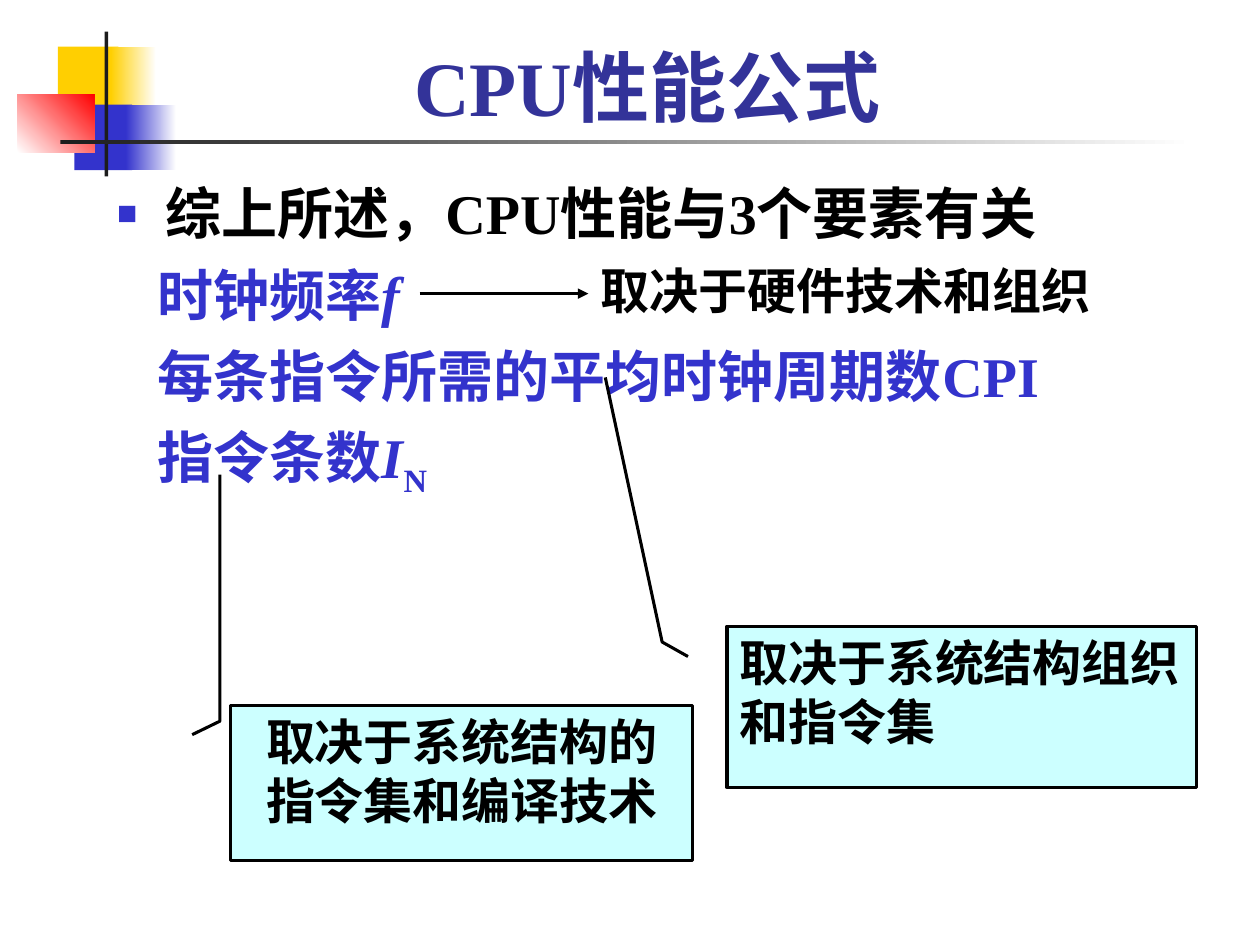
from lxml.etree import SubElement
from pptx import Presentation
from pptx.dml.color import RGBColor
from pptx.enum.shapes import MSO_CONNECTOR, MSO_SHAPE
from pptx.enum.text import MSO_ANCHOR, MSO_AUTO_SIZE, PP_ALIGN
from pptx.oxml.ns import qn
from pptx.util import Inches, Pt

BLUE, BLACK, SERIF, SANS = "3333CC", "000000", "Times New Roman", "Roboto"


def rgb(color):
    return RGBColor.from_string(color)


def add_run(p, text, size=32, font=SERIF, color=BLUE, italic=False, baseline=None):
    r = p.add_run()
    r.text = text
    r.font.size, r.font.name = Pt(size), font
    r.font.bold, r.font.italic = True, italic
    r.font.color.rgb = rgb(color)
    if baseline:
        r.font._element.set("baseline", str(baseline))


prs = Presentation()
prs.slide_width, prs.slide_height = Inches(10), Inches(7.5)
s = prs.slides.add_slide(prs.slide_layouts[1])

# Corner decoration: box, colours (two make a gradient), gradient angle
decoration = [
    ((0.46, 0.37, 0.48, 0.52), ["FFCF01"], 0),
    ((0.88, 0.37, 0.36, 0.52), ["FFCF01", "FFFFFF"], 0),
    ((0.59, 0.83, 0.46, 0.52), [BLUE], 0),
    ((1, 0.83, 0.4, 0.52), [BLUE, "FFFFFF"], 0),
    ((0.14, 0.75, 0.61, 0.46), ["FFFFFF", "FF0000"], 45),
    ((0.83, 0.25, 0.03, 1.15), ["1C1C1C"], 0),
    ((0.48, 1.11, 9, 0.03), ["1C1C1C", "FFFFFF"], 0),
]
for box, colors, angle in decoration:
    sp = s.shapes.add_shape(MSO_SHAPE.RECTANGLE, *map(Inches, box))
    sp.shadow.inherit = False
    sp.line.fill.background()
    if len(colors) == 1:
        sp.fill.solid()
        sp.fill.fore_color.rgb = rgb(colors[0])
    else:
        sp.fill.gradient()
        sp.fill.gradient_angle = angle
        for stop, color in zip(sp.fill.gradient_stops, colors):
            stop.color.rgb = rgb(color)

# Title
title = s.shapes.title
title.left, title.top, title.width, title.height = map(Inches, (0.5, 0.17, 9.28, 0.93))
tf = title.text_frame
tf.auto_size = MSO_AUTO_SIZE.NONE
tf.vertical_anchor = MSO_ANCHOR.BOTTOM
p = tf.paragraphs[0]
p.alignment = PP_ALIGN.CENTER
add_run(p, "CPU性能公式", size=44, color="333399")

# Body: one bulleted line, then the three factors
body = s.placeholders[1]
body.left, body.top, body.width, body.height = map(Inches, (0.83, 1.37, 8.96, 4.5))
tf = body.text_frame
tf.auto_size = MSO_AUTO_SIZE.NONE
lines = [
    [("综上所述，CPU性能与3个要素有关", {"color": BLACK})],
    [("时钟频率", {}), ("f", {"italic": True})],
    [("每条指令所需的平均时钟周期数CPI", {})],
    [("指令条数", {}), ("I", {"italic": True}), ("N", {"baseline": -25000})],
]
for i, runs in enumerate(lines):
    p = tf.add_paragraph() if i else tf.paragraphs[0]
    p.space_before = Pt(8 if i else 0)
    pPr = p._p.get_or_add_pPr()
    pPr.set("marL", str(Inches(0.32 if i else 0.38)))
    pPr.set("indent", str(Inches(0 if i else -0.38)))
    if i:
        SubElement(pPr, qn("a:buNone"))
    else:
        SubElement(SubElement(pPr, qn("a:buClr")), qn("a:srgbClr"), val=BLUE)
        SubElement(pPr, qn("a:buSzPct"), val="60000")
        SubElement(pPr, qn("a:buChar"), char="■")
    for text, style in runs:
        add_run(p, text, **style)

# Callouts: box, pointer adjustments, alignment, text
callouts = [
    ((5.77, 4.97, 3.73, 1.28), (0.188, -0.083, 0.098, -0.138, -1.543, -0.259),
     PP_ALIGN.LEFT, "取决于系统结构组织和指令集"),
    ((1.83, 5.6, 3.67, 1.23), (0.188, -0.083, 0.101, -0.023, -1.49, -0.023),
     PP_ALIGN.CENTER, "取决于系统结构的指令集和编译技术"),
]
for box, pointer, align, text in callouts:
    sp = s.shapes.add_shape(MSO_SHAPE.LINE_CALLOUT_2, *map(Inches, box))
    sp.shadow.inherit = False
    for i, value in enumerate(pointer):
        sp.adjustments[i] = value
    sp.fill.solid()
    sp.fill.fore_color.rgb = rgb("CCFFFF")
    sp.line.color.rgb = rgb(BLACK)
    sp.line.width = Pt(1.75)
    tf = sp.text_frame
    tf.word_wrap = True
    tf.vertical_anchor = MSO_ANCHOR.TOP
    p = tf.paragraphs[0]
    p.alignment = align
    add_run(p, text, size=28, font=SANS, color=BLACK)

# Arrow from the clock frequency to its note
arrow = s.shapes.add_connector(MSO_CONNECTOR.STRAIGHT, Inches(3.33), Inches(2.33),
                               Inches(4.67), Inches(2.33))
arrow.line.color.rgb = rgb(BLACK)
arrow.line.width = Pt(1.75)
SubElement(arrow.line._get_or_add_ln(), qn("a:tailEnd"), type="triangle")
SubElement(arrow._element.spPr, qn("a:effectLst"))

note = s.shapes.add_textbox(Inches(4.67), Inches(2.02), Inches(4.58), Inches(0.57))
note.text_frame.word_wrap = True
add_run(note.text_frame.paragraphs[0], "取决于硬件技术和组织", size=28, font=SANS, color=BLACK)

prs.save("out.pptx")
